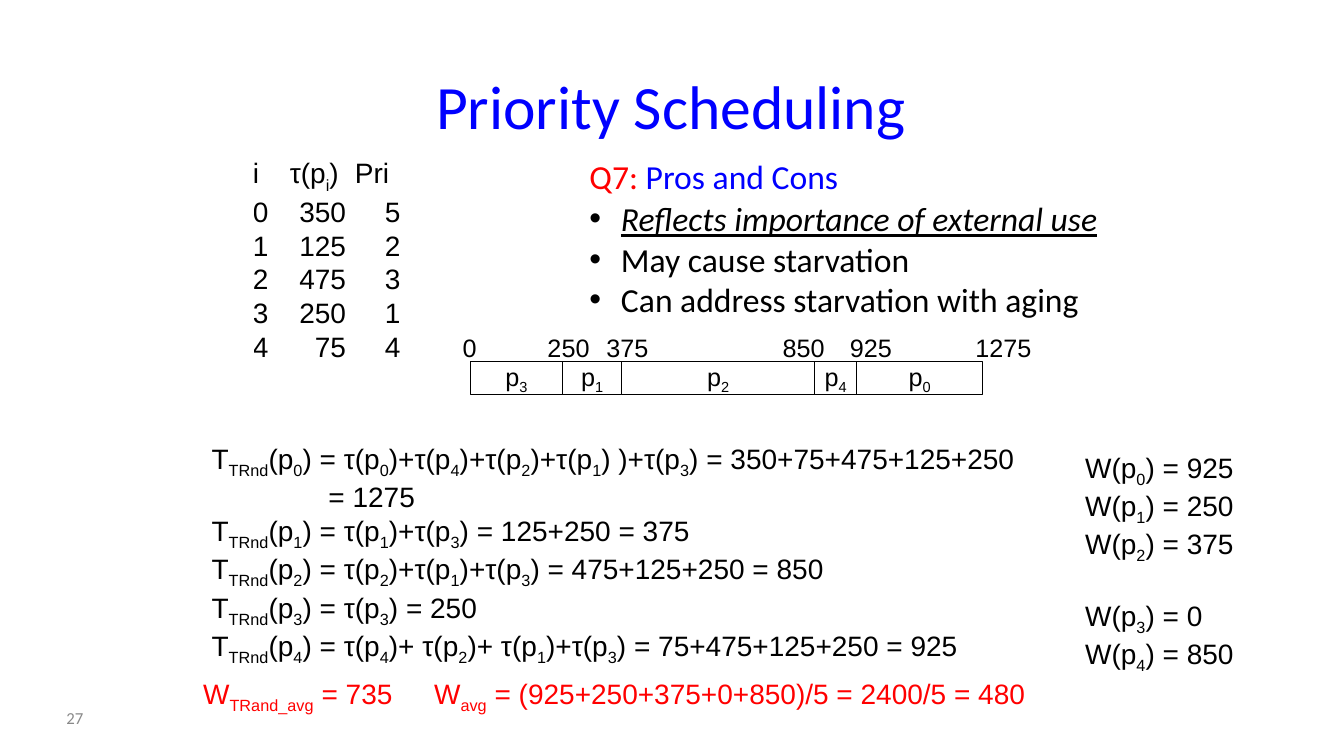
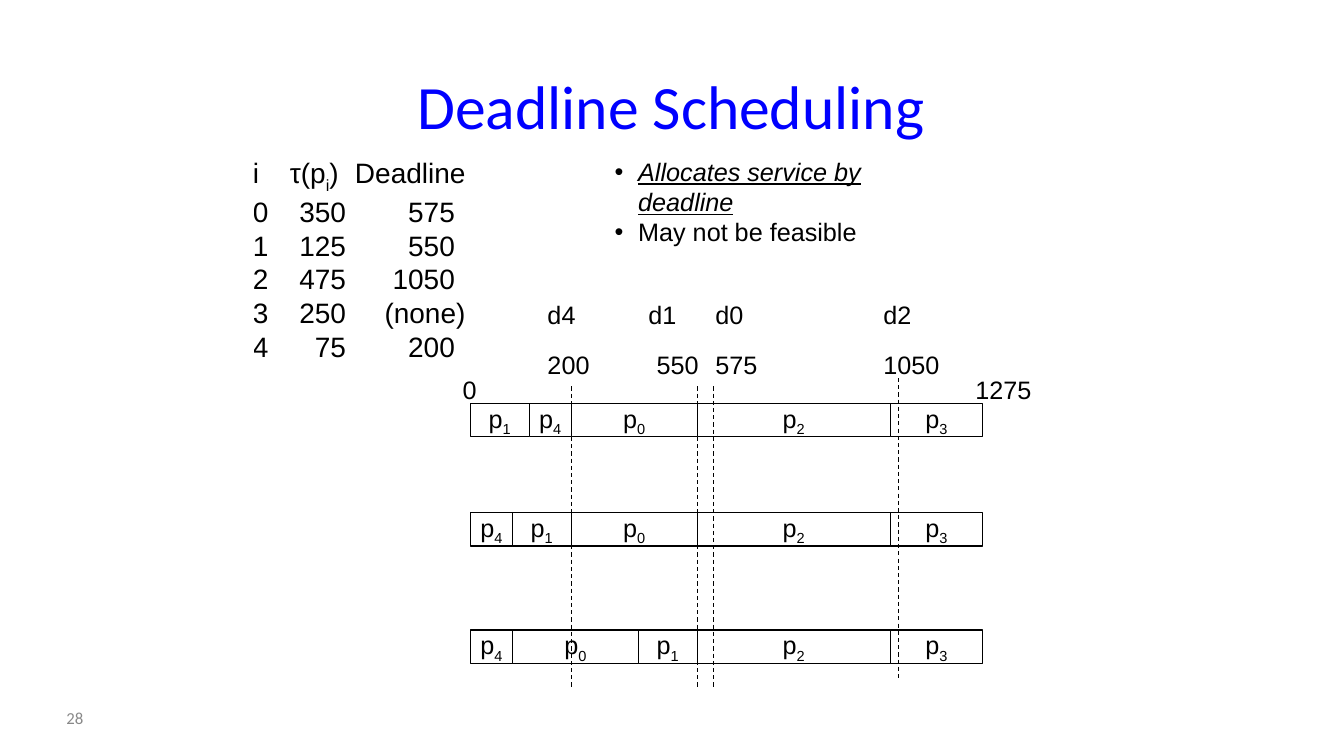
import pptx
import pptx.dml.color
import pptx.enum.dml
import pptx.enum.shapes
import pptx.enum.text
import pptx.oxml
import pptx.oxml.ns
import pptx.util

Pt = pptx.util.Pt
ALIGN = pptx.enum.text.PP_ALIGN
ANCHOR = pptx.enum.text.MSO_ANCHOR

BLACK, WHITE, BLUE, RED, GRAY = "000000", "FFFFFF", "0000FF", "FF0000", "898989"

# Square brackets mark subscripts.
TIMES = [350, 125, 475, 250, 75]
PRIORITIES = ["5", "2", "3", "1", "4"]
DEADLINES = ["575", "550", "1050", "(none)", "200"]

BLOCK_WIDTHS = [90, 42, 138, 66, 30]
BAR_LEFT, BAR_HEIGHT = 336, 24

PRIORITY_BAR = (258, [3, 1, 2, 4, 0])
DEADLINE_BARS = [
    (288, [1, 4, 0, 2, 3]),
    (366, [4, 1, 0, 2, 3]),
    (450, [4, 0, 1, 2, 3]),
]
PRIORITY_TICKS = [("0", 323.4), ("250", 384), ("375", 426), ("850", 552),
                  ("925", 600), ("1275", 689.6)]
DEADLINE_ENDS = [("0", 323.4), ("1275", 689.6)]
# name, name left, time, time left, line x, line top
DEADLINE_MARKS = [
    ("d4", 384, "200", 384, 408, 276),
    ("d1", 456, "550", 462, 498, 276),
    ("d0", 504, "575", 504, 510, 276),
    ("d2", 624, "1050", 624, 642, 270),
]
LINE_LENGTH = 216

PRIORITY_POINTS = ["Reflects importance of external use", "May cause starvation",
                   "Can address starvation with aging"]
DEADLINE_POINTS = ["Allocates service by deadline", "May not be feasible"]

TURNAROUNDS = [
    "T[TRnd](p[0]) = τ(p[0])+τ(p[4])+τ(p[2])+τ(p[1]) )+τ(p[3]) = 350+75+475+125+250",
    "= 1275",
    "T[TRnd](p[1]) = τ(p[1])+τ(p[3]) = 125+250 = 375",
    "T[TRnd](p[2]) = τ(p[2])+τ(p[1])+τ(p[3]) = 475+125+250 = 850",
    "T[TRnd](p[3]) = τ(p[3]) = 250",
    "T[TRnd](p[4]) = τ(p[4])+ τ(p[2])+ τ(p[1])+τ(p[3]) = 75+475+125+250 = 925",
]
WAITS = [f"W(p[{i}]) = {wait}" for i, wait in enumerate([925, 250, 375, 0, 850])]
AVERAGES = [
    ("W[TRand_avg] = 735", 138, 165),
    ("W[avg] = (925+250+375+0+850)/5 = 2400/5 = 480", 303, 460),
]


def rgb(color):
    return pptx.dml.color.RGBColor.from_string(color)


def add_runs(paragraph, text, size=18, font="Arial", color=BLACK):
    """Add text to a paragraph, lowering the parts in square brackets."""
    for index, part in enumerate(text.replace("]", "[").split("[")):
        if not part:
            continue
        run = paragraph.add_run()
        run.text = part
        run.font.size = Pt(size)
        run.font.name = font
        run.font.color.rgb = rgb(color)
        if index % 2:
            run.font._element.set("baseline", "-25000")


def add_text(slide, lines, left, top, width, height, anchor=ANCHOR.TOP,
             align=ALIGN.LEFT, **text_format):
    """Add a text box, one paragraph a line, and return its paragraphs."""
    box = slide.shapes.add_textbox(Pt(left), Pt(top), Pt(width), Pt(height))
    frame = box.text_frame
    frame.word_wrap = True
    frame.vertical_anchor = anchor
    for index, line in enumerate(lines):
        paragraph = frame.add_paragraph() if index else frame.paragraphs[0]
        paragraph.alignment = align
        add_runs(paragraph, line, **text_format)
    return frame.paragraphs


def set_indent(paragraph, margin, first=0):
    properties = paragraph._p.get_or_add_pPr()
    properties.set("marL", str(Pt(margin)))
    properties.set("indent", str(Pt(first)))
    return properties


def add_bullets(slide, points, left, top, width, height, indent, **text_format):
    """Add a bullet list whose first point is emphasised."""
    namespace = pptx.oxml.ns.nsdecls("a")
    paragraphs = add_text(slide, points, left, top, width, height, **text_format)
    for paragraph in paragraphs:
        properties = set_indent(paragraph, indent, -indent)
        for tag in ('buFont typeface="Arial"', 'buChar char="•"'):
            properties.append(pptx.oxml.parse_xml(f"<a:{tag} {namespace}/>"))
    for run in paragraphs[0].runs:
        run.font.italic = run.font.underline = True


def add_process_table(slide, heading, values, last_width, last_margin):
    """Add the process table; last_margin is right of the last column's numbers."""
    rows = [("i", "τ(p[i])", heading)]
    rows += [(str(i), str(time), value)
             for i, (time, value) in enumerate(zip(TIMES, values))]
    widths = [26.3, 46.6, last_width]
    number_margins = [0, 6.4, last_margin]
    heights = [27.5] + [24] * len(TIMES)
    table = slide.shapes.add_table(len(rows), len(widths), Pt(180.7), Pt(113.3),
                                   Pt(sum(widths)), Pt(sum(heights))).table
    table.first_row = table.horz_banding = False
    for column, width in zip(table.columns, widths):
        column.width = Pt(width)
    for row_index, row in enumerate(rows):
        table.rows[row_index].height = Pt(heights[row_index])
        for column_index, text in enumerate(row):
            cell = table.cell(row_index, column_index)
            cell.fill.background()
            cell.margin_left = cell.margin_top = cell.margin_bottom = 0
            cell.margin_right = 0
            paragraph = cell.text_frame.paragraphs[0]
            if row_index and column_index:
                paragraph.alignment = ALIGN.RIGHT
                margin = number_margins[column_index] if text.isdigit() else 5
                cell.margin_right = Pt(margin)
            add_runs(paragraph, text, size=20)


def add_bar(slide, top, order):
    """Draw the processes side by side in the order they run."""
    left = BAR_LEFT
    for process in order:
        width = BLOCK_WIDTHS[process]
        block = slide.shapes.add_shape(pptx.enum.shapes.MSO_SHAPE.RECTANGLE,
                                       Pt(left), Pt(top), Pt(width), Pt(BAR_HEIGHT))
        block.shadow.inherit = False
        block.fill.solid()
        block.fill.fore_color.rgb = rgb(WHITE)
        block.line.color.rgb = rgb(BLACK)
        block.line.width = Pt(0.75)
        frame = block.text_frame
        frame.word_wrap = False
        frame.vertical_anchor = ANCHOR.MIDDLE
        frame.paragraphs[0].alignment = ALIGN.CENTER
        add_runs(frame.paragraphs[0], f"p[{process}]")
        left += width


def add_label(slide, text, left, top):
    add_text(slide, [text], left, top, 56, 28.8)


def add_dashed_line(slide, x, top):
    line = slide.shapes.add_connector(pptx.enum.shapes.MSO_CONNECTOR.STRAIGHT,
                                      Pt(x), Pt(top), Pt(x), Pt(top + LINE_LENGTH))
    line.line.color.rgb = rgb(BLACK)
    line.line.width = Pt(0.75)
    line.line.dash_style = pptx.enum.dml.MSO_LINE.DASH
    line._element.spPr.append(
        pptx.oxml.parse_xml(f'<a:effectLst {pptx.oxml.ns.nsdecls("a")}/>'))


def add_slide(presentation, title, number):
    slide = presentation.slides.add_slide(presentation.slide_layouts[6])
    add_text(slide, [title], 173.5, 48, 612, 54, anchor=ANCHOR.MIDDLE,
             align=ALIGN.CENTER, size=44, font="Calibri", color=BLUE)
    add_text(slide, [str(number)], 40.3, 498, 104, 28.8, anchor=ANCHOR.MIDDLE,
             size=12, font="Calibri", color=GRAY)
    return slide


def add_priority_slide(presentation):
    slide = add_slide(presentation, "Priority Scheduling", 27)
    add_process_table(slide, "Pri", PRIORITIES, 40, 7.6)
    add_bar(slide, *PRIORITY_BAR)
    for text, left in PRIORITY_TICKS:
        add_label(slide, text, left, 234)
    question = add_text(slide, ["Q7: "], 414, 108, 222, 36,
                        size=24, font="Calibri", color=RED)[0]
    add_runs(question, "Pros and Cons", size=24, font="Calibri", color=BLUE)
    add_bullets(slide, PRIORITY_POINTS, 414, 138, 390, 95, 22.5,
                size=24, font="Calibri")
    turnarounds = add_text(slide, TURNAROUNDS, 144, 312, 610, 153, size=20)
    set_indent(turnarounds[1], 83.5)
    waits = add_text(slide, WAITS, 768, 318, 130, 153, size=20)
    waits[3].space_before = Pt(24)
    for text, left, width in AVERAGES:
        add_text(slide, [text], left, 480, width, 31.5, size=20, color=RED)


def add_deadline_slide(presentation):
    slide = add_slide(presentation, "Deadline Scheduling", 28)
    add_process_table(slide, "Deadline", DEADLINES, 84, 12.6)
    add_bullets(slide, DEADLINE_POINTS, 432, 108, 255, 51, 16.8)
    for top, order in DEADLINE_BARS:
        add_bar(slide, top, order)
    for text, left in DEADLINE_ENDS:
        add_label(slide, text, left, 264)
    for name, name_left, time, time_left, line_x, line_top in DEADLINE_MARKS:
        add_label(slide, name, name_left, 210)
        add_label(slide, time, time_left, 246)
        add_dashed_line(slide, line_x, line_top)


def main():
    presentation = pptx.Presentation()
    presentation.slide_width = Pt(960)
    presentation.slide_height = Pt(540)
    add_priority_slide(presentation)
    add_deadline_slide(presentation)
    presentation.save("out.pptx")


if __name__ == "__main__":
    main()
